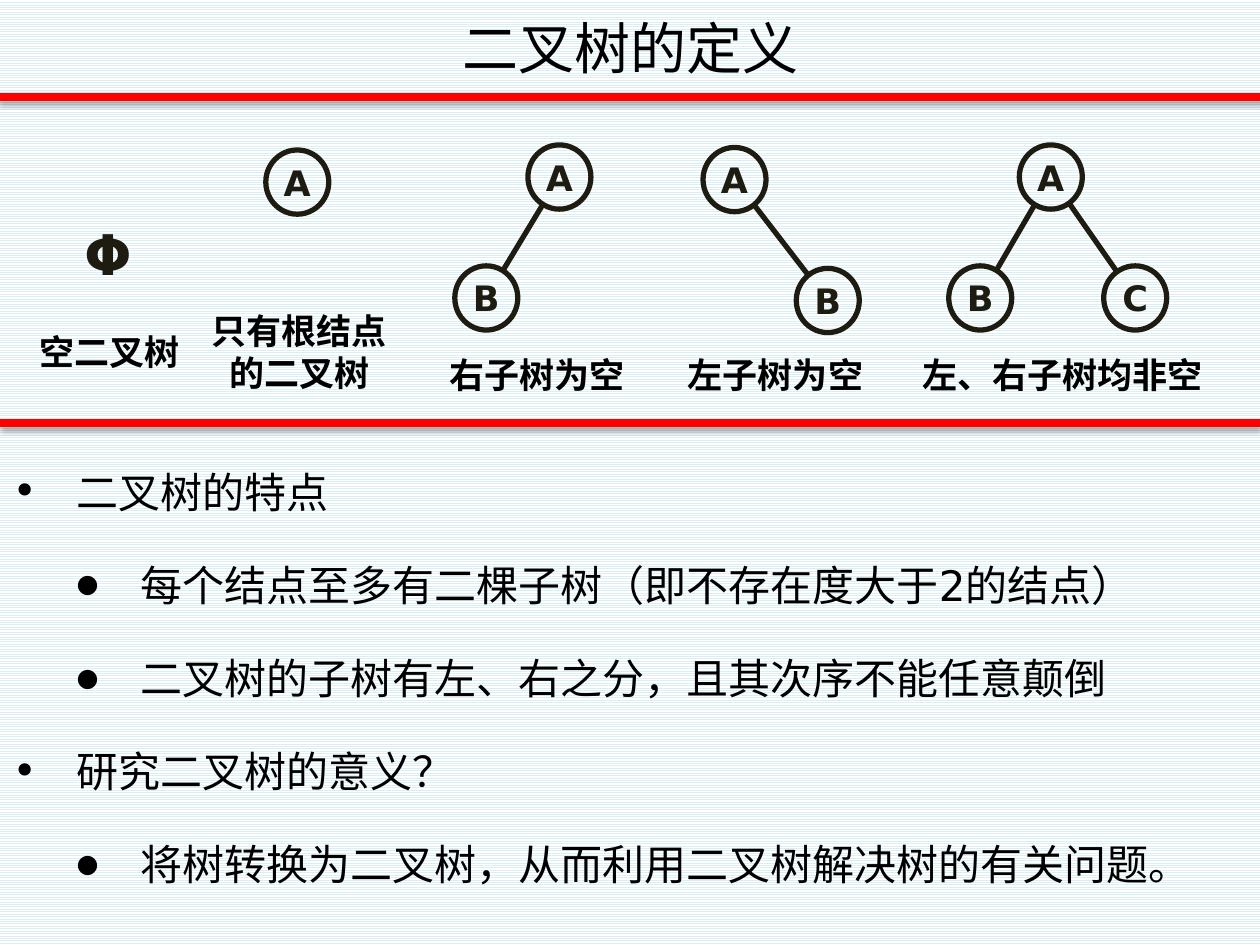
from dataclasses import dataclass
from math import hypot

from lxml.etree import SubElement
from pptx import Presentation
from pptx.dml.color import RGBColor
from pptx.enum.dml import MSO_PATTERN
from pptx.enum.shapes import MSO_CONNECTOR, MSO_SHAPE
from pptx.enum.text import MSO_ANCHOR, PP_ALIGN
from pptx.oxml.ns import qn
from pptx.util import Inches, Pt


@dataclass(frozen=True)
class Theme:
    ink: RGBColor = RGBColor(0, 0, 0)
    node: RGBColor = RGBColor(0x1E, 0x1C, 0x11)
    rule: RGBColor = RGBColor(0xFF, 0, 0)
    stripe: RGBColor = RGBColor(0xDB, 0xEE, 0xF4)
    paper: RGBColor = RGBColor(0xFF, 0xFF, 0xFF)
    latin: str = "DejaVu Sans"
    chinese: str = "Noto Sans CJK SC"
    title: int = 32
    body: int = 24
    caption: int = 20
    rule_width: float = 4.5
    edge_width: float = 3


@dataclass(frozen=True)
class Box:
    left: float
    top: float
    width: float
    height: float

    def inches(self):
        return [Inches(n) for n in (self.left, self.top, self.width, self.height)]


THEME = Theme()
NODE_WIDTH, NODE_HEIGHT = 0.5, 0.51
BULLET_INDENT = 0.51

TREES = [
    (Box(1.48, 1.19, 1.79, 1.99), 0.77, ["只有根结点", "的二叉树"],
     [("A", 0.63, 0)]),
    (Box(3.37, 1.15, 1.79, 2.08), 0.47, ["右子树为空"],
     [("A", 0.82, 0), ("B", 0.24, 0.96)]),
    (Box(5.26, 1.17, 1.79, 2.06), 0.47, ["左子树为空"],
     [("A", 0.32, 0), ("B", 1.06, 0.96)]),
    (Box(6.99, 1.15, 2.89, 2.06), 0.45, ["左、右子树均非空"],
     [("A", 1.1, 0), ("B", 0.54, 0.96), ("C", 1.77, 0.96)]),
]

POINTS = [
    (1, "二叉树的特点"),
    (2, "每个结点至多有二棵子树（即不存在度大于2的结点）"),
    (2, "二叉树的子树有左、右之分，且其次序不能任意颠倒"),
    (1, "研究二叉树的意义？"),
    (2, "将树转换为二叉树，从而利用二叉树解决树的有关问题。"),
]


def write_run(paragraph, text, size, color, bold=False, font=THEME.latin):
    run = paragraph.add_run()
    run.text = text
    run.font.size = Pt(size)
    run.font.bold = bold
    run.font.color.rgb = color
    run.font.name = font
    SubElement(run.font._element, qn("a:ea"), typeface=font)


def write_centred(frame, lines, size, color, bold=True, font=THEME.latin):
    for index, line in enumerate(lines):
        paragraph = frame.add_paragraph() if index else frame.paragraphs[0]
        paragraph.alignment = PP_ALIGN.CENTER
        write_run(paragraph, line, size, color, bold, font)


def draw_line(shapes, start, end, color, width):
    line = shapes.add_connector(
        MSO_CONNECTOR.STRAIGHT, *(Inches(n) for n in (*start, *end)))
    line.line.color.rgb = color
    line.line.width = Pt(width)
    return SubElement(line._element.spPr, qn("a:effectLst"))


def draw_rule(slide, box):
    effects = draw_line(slide.shapes, (box.left, box.top),
                        (box.left + box.width, box.top),
                        THEME.rule, THEME.rule_width)
    shadow = SubElement(effects, qn("a:outerShdw"), blurRad=str(Pt(3.1)),
                        dist=str(Pt(1.8)), dir="5400000", rotWithShape="0")
    shade = SubElement(shadow, qn("a:srgbClr"), val=str(THEME.ink))
    SubElement(shade, qn("a:alpha"), val="35000")


def draw_title(slide, box):
    title = slide.shapes.title
    title.left, title.top, title.width, title.height = box.inches()
    title.text_frame.vertical_anchor = MSO_ANCHOR.MIDDLE
    write_centred(title.text_frame, ["二叉树的定义"], THEME.title, THEME.ink,
                  bold=False, font=THEME.chinese)


def draw_caption(shapes, box, lines):
    frame = shapes.add_textbox(*box.inches()).text_frame
    frame.word_wrap = True
    write_centred(frame, lines, THEME.caption, THEME.ink)


def draw_node(shapes, letter, left, top):
    node = shapes.add_shape(
        MSO_SHAPE.OVAL, *Box(left, top, NODE_WIDTH, NODE_HEIGHT).inches())
    node.shadow.inherit = False
    node.fill.background()
    node.line.color.rgb = THEME.node
    node.line.width = Pt(THEME.edge_width)
    node.text_frame.word_wrap = False
    node.text_frame.vertical_anchor = MSO_ANCHOR.MIDDLE
    write_centred(node.text_frame, [letter], THEME.caption, THEME.node)


def draw_edge(shapes, parent, child):
    across, down = child[0] - parent[0], child[1] - parent[1]
    reach = NODE_HEIGHT / 2 / hypot(across, down)
    centre = (parent[0] + NODE_WIDTH / 2, parent[1] + NODE_HEIGHT / 2)
    start, end = ((centre[0] + across * part, centre[1] + down * part)
                  for part in (reach, 1 - reach))
    draw_line(shapes, start, end, THEME.node, THEME.edge_width)


def draw_empty_tree(slide, box):
    shapes = slide.shapes.add_group_shape().shapes
    symbol = Box(box.left + 0.45, box.top, 0.55, 0.64)
    frame = shapes.add_textbox(*symbol.inches()).text_frame
    frame.word_wrap = False
    frame.vertical_anchor = MSO_ANCHOR.MIDDLE
    write_centred(frame, ["Φ"], THEME.title, THEME.node)
    draw_caption(shapes, Box(box.left, box.top + 0.88, box.width, 0.43), ["空二叉树"])


def draw_tree(slide, box, caption_height, caption, nodes):
    shapes = slide.shapes.add_group_shape().shapes
    places = [(box.left + x, box.top + y) for _, x, y in nodes]
    for (letter, _, _), place in zip(nodes, places):
        draw_node(shapes, letter, *place)
    for child in places[1:]:
        draw_edge(shapes, places[0], child)
    caption_top = box.top + box.height - caption_height
    draw_caption(shapes, Box(box.left, caption_top, box.width, caption_height), caption)


def add_bullet(paragraph, level):
    properties = paragraph._p.get_or_add_pPr()
    properties.set("marL", str(Inches(BULLET_INDENT * level)))
    properties.set("indent", str(-Inches(BULLET_INDENT)))
    color = SubElement(properties, qn("a:buClr"))
    SubElement(color, qn("a:srgbClr"), val=str(THEME.ink))
    if level == 2:
        SubElement(properties, qn("a:buSzPct"), val="60000")
    SubElement(properties, qn("a:buFont"), typeface=THEME.latin)
    SubElement(properties, qn("a:buChar"), char="•" if level == 1 else "●")


def draw_points(slide, box):
    frame = slide.shapes.add_textbox(*box.inches()).text_frame
    frame.word_wrap = True
    for index, (level, text) in enumerate(POINTS):
        paragraph = frame.add_paragraph() if index else frame.paragraphs[0]
        add_bullet(paragraph, level)
        paragraph.line_spacing = 1.5
        if index:
            paragraph.space_before = Pt(10)
        write_run(paragraph, text, THEME.body, THEME.ink)


def main():
    deck = Presentation()
    deck.slide_width, deck.slide_height = Inches(10), Inches(7.5)
    slide = deck.slides.add_slide(deck.slide_layouts[5])
    background = slide.background.fill
    background.patterned()
    background.pattern = MSO_PATTERN.LIGHT_HORIZONTAL
    background.fore_color.rgb = THEME.stripe
    background.back_color.rgb = THEME.paper
    draw_rule(slide, Box(-0.01, 0.77, 10.02, 0))
    draw_points(slide, Box(0, 3.45, 10, 3.98))
    draw_title(slide, Box(0, 0.05, 10.01, 0.65))
    draw_empty_tree(slide, Box(0.12, 1.69, 1.5, 1.31))
    for tree in TREES:
        draw_tree(slide, *tree)
    draw_rule(slide, Box(0, 3.36, 10, 0))
    deck.save("out.pptx")


if __name__ == "__main__":
    main()
